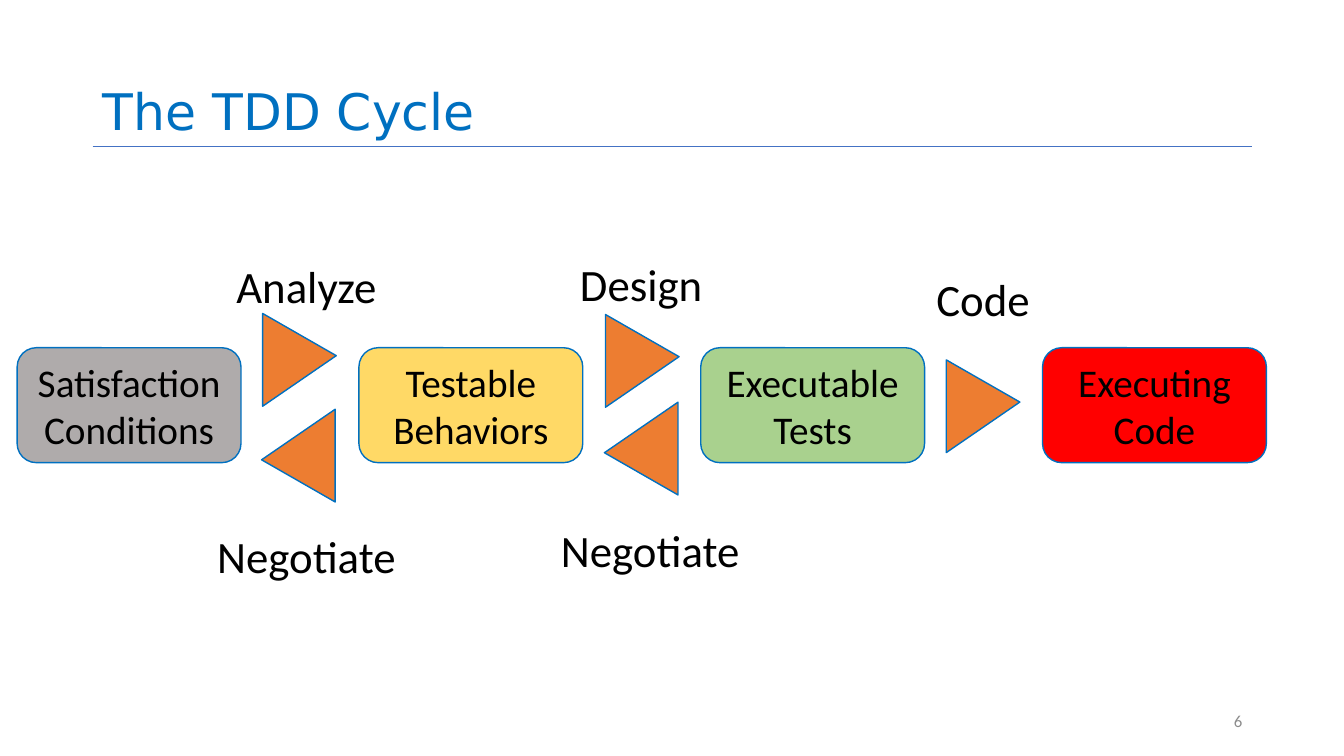
"""Build the TDD cycle slide: four stages joined by forward and negotiation arrows."""
from dataclasses import dataclass

from lxml import etree
from pptx import Presentation
from pptx.dml.color import RGBColor
from pptx.enum.shapes import MSO_CONNECTOR, MSO_SHAPE
from pptx.enum.text import MSO_ANCHOR, MSO_AUTO_SIZE, PP_ALIGN
from pptx.oxml.ns import qn
from pptx.util import Inches, Pt

STRAIGHT = MSO_CONNECTOR.STRAIGHT
ROUNDED, TRIANGLE = MSO_SHAPE.ROUNDED_RECTANGLE, MSO_SHAPE.ISOSCELES_TRIANGLE
MIDDLE, BOTTOM = MSO_ANCHOR.MIDDLE, MSO_ANCHOR.BOTTOM
LEFT, CENTER, RIGHT = PP_ALIGN.LEFT, PP_ALIGN.CENTER, PP_ALIGN.RIGHT
NO_FIT = MSO_AUTO_SIZE.NONE
TITLE_ONLY = 5
FORWARD, BACK = 90, 270

TITLE = "The TDD Cycle"
PAGE_NUMBER = "6"
STAGES = [
    ("Satisfaction Conditions", "AFABAB"),
    ("Testable Behaviors", "FFD966"),
    ("Executable Tests", "A9D18E"),
    ("Executing Code", "FF0000"),
]
# Each step: label, label centre, arrow centre
FORWARD_STEPS = [
    ("Analyze", (3.04, 2.83), (2.97, 3.57)),
    ("Design", (6.36, 2.81), (6.37, 3.58)),
    ("Code", (9.75, 2.96), (9.75, 4.03)),
]
BACK_STEPS = [
    ("Negotiate", (3.04, 5.51), (2.96, 4.52)),
    ("Negotiate", (6.45, 5.45), (6.36, 4.45)),
]

STAGE_LEFT, STAGE_TOP, STAGE_PITCH = 0.17, 3.45, 3.39
STAGE_SIZE = (2.22, 1.14)
ARROW_SIZE = (0.92, 0.73)
LABEL_SIZE = (2.4, 0.6)
ARROW_TIP = 0.455
TITLE_BOX = (0.92, 0, 11.5, 1.45)
NUMBER_BOX = (9.42, 6.95, 3, 0.4)


@dataclass(frozen=True)
class Theme:
    """Colours, fonts and type sizes of the slide."""
    title_font: str = "DejaVu Sans"
    body_font: str = "Calibri"
    accent: str = "0070C0"
    rule: str = "4472C4"
    arrow: str = "ED7D31"
    ink: str = "000000"
    muted: str = "8C8C8C"
    title_size: int = 36
    label_size: int = 32
    stage_size: int = 28
    number_size: int = 12


THEME = Theme()


def centred(centre, size):
    """Return left, top, width and height of a box around a centre."""
    return centre[0] - size[0] / 2, centre[1] - size[1] / 2, *size


def write(frame, text, size, color, font=THEME.body_font, align=CENTER, anchor=MIDDLE):
    """Put one formatted run into a text frame."""
    frame.word_wrap = True
    frame.auto_size = NO_FIT
    frame.vertical_anchor = anchor
    paragraph = frame.paragraphs[0]
    paragraph.alignment = align
    run = paragraph.add_run()
    run.text = text
    run.font.size = Pt(size)
    run.font.name = font
    run.font.color.rgb = RGBColor.from_string(color)
    return paragraph


def add_outlined(group, preset, box, fill):
    """Add a filled shape with the accent outline."""
    shape = group.shapes.add_shape(preset, *map(Inches, box))
    shape.shadow.inherit = False
    shape.fill.solid()
    shape.fill.fore_color.rgb = RGBColor.from_string(fill)
    shape.line.color.rgb = RGBColor.from_string(THEME.accent)
    shape.line.width = Pt(1)
    return shape


def add_step(group, step, rotation):
    """Add an arrow and its label."""
    label, label_centre, arrow_centre = step
    arrow = add_outlined(group, TRIANGLE, centred(arrow_centre, ARROW_SIZE), THEME.arrow)
    arrow.adjustments[0] = ARROW_TIP
    arrow.rotation = rotation
    caption = group.shapes.add_textbox(*map(Inches, centred(label_centre, LABEL_SIZE)))
    write(caption.text_frame, label, THEME.label_size, THEME.ink)


def add_header(slide):
    """Add the title, the rule under it and the page number."""
    left, top, width, height = map(Inches, TITLE_BOX)
    rule = slide.shapes.add_connector(STRAIGHT, left, top + height, left + width, top + height)
    rule.line.color.rgb = RGBColor.from_string(THEME.rule)
    rule.line.width = Pt(0.5)
    etree.SubElement(rule.element.spPr, qn("a:effectLst"))

    title = slide.shapes.title
    title.left, title.top, title.width, title.height = left, top, width, height
    heading = write(title.text_frame, TITLE, THEME.title_size, THEME.accent,
                    THEME.title_font, LEFT, BOTTOM)
    heading.line_spacing = 0.9

    number = slide.shapes.add_textbox(*map(Inches, NUMBER_BOX))
    write(number.text_frame, PAGE_NUMBER, THEME.number_size, THEME.muted, align=RIGHT)


def main():
    """Build and save the slide."""
    deck = Presentation()
    deck.slide_width, deck.slide_height = Inches(13.33), Inches(7.5)
    slide = deck.slides.add_slide(deck.slide_layouts[TITLE_ONLY])
    add_header(slide)

    cycle = slide.shapes.add_group_shape()
    for index, (stage, fill) in enumerate(STAGES):
        box = (STAGE_LEFT + index * STAGE_PITCH, STAGE_TOP, *STAGE_SIZE)
        card = add_outlined(cycle, ROUNDED, box, fill)
        write(card.text_frame, stage, THEME.stage_size, THEME.ink)
    for step in FORWARD_STEPS:
        add_step(cycle, step, FORWARD)
    for step in BACK_STEPS:
        add_step(slide.shapes.add_group_shape(), step, BACK)

    deck.save("out.pptx")


if __name__ == "__main__":
    main()
